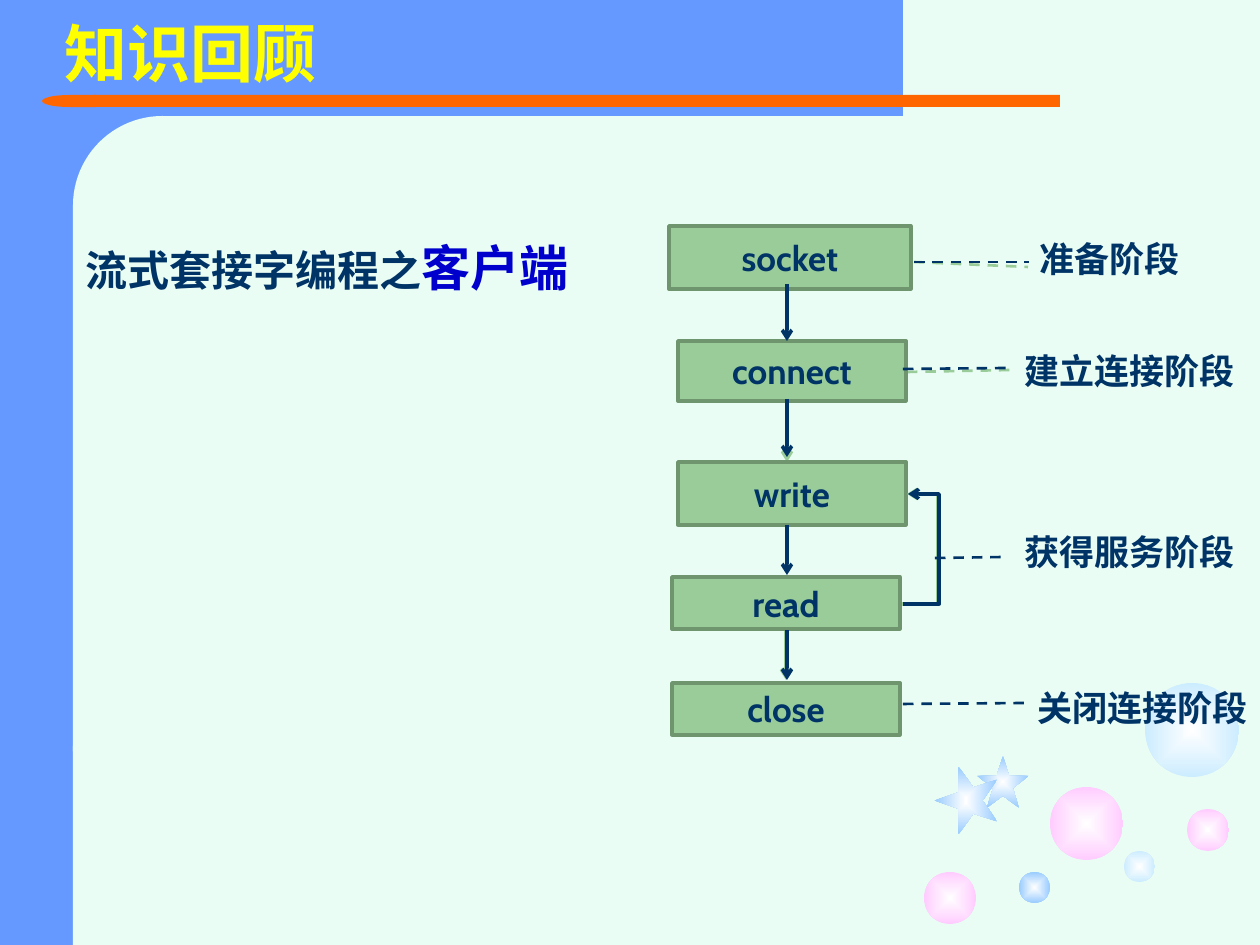
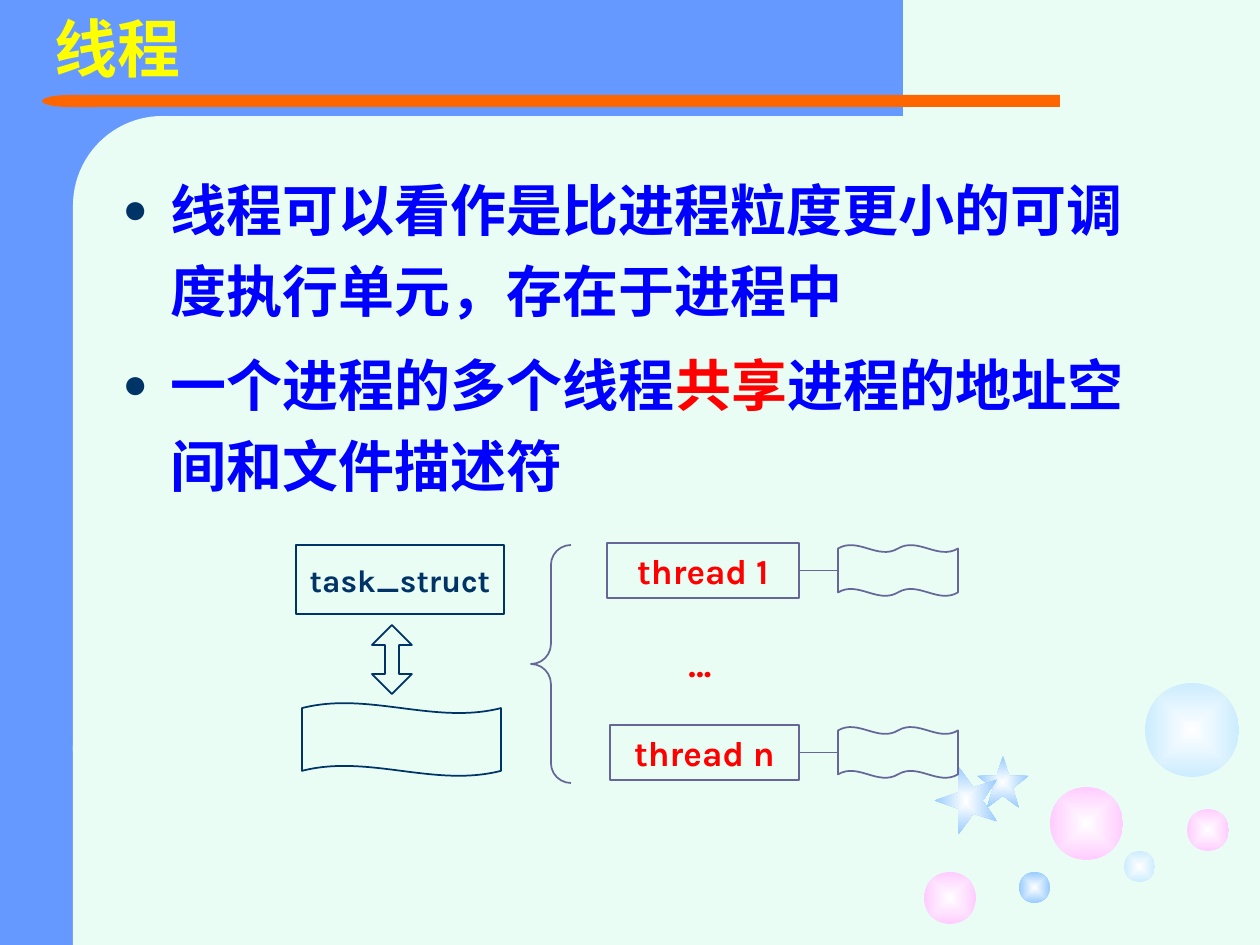
import pptx
import pptx.dml.color
import pptx.enum.dml
import pptx.enum.shapes
import pptx.enum.text
import pptx.oxml
import pptx.oxml.ns
import pptx.util
from lxml import etree

SCALE = 914400 / 126
HUES = {
    "mint": "E9FDF4", "blue": "6699FF", "orange": "FF6600", "white": "FFFFFF",
    "pink": "FFCCFF", "pale": "CCECFF", "sky": "99CCFF", "yellow": "FFFF00",
    "navy": "003366", "royal": "0000CC", "pure": "0000FF", "red": "FF0000",
    "leaf": "99CC99", "moss": "6F956F", "slate": "666699",
}
KIND = pptx.enum.shapes.MSO_SHAPE
LINK = pptx.enum.shapes.MSO_CONNECTOR
ALIGN = pptx.enum.text.PP_ALIGN
MID = pptx.enum.text.MSO_ANCHOR.MIDDLE
HAN = "Noto Sans CJK SC"


def px(num):
    """Turn px into EMU."""
    return pptx.util.Emu(round(num * SCALE))


def rgb(name):
    """Look up a colour."""
    return pptx.dml.color.RGBColor.from_string(HUES[name])


def sub(node, tag, **attrs):
    """Append a drawing element."""
    return etree.SubElement(node, pptx.oxml.ns.qn("a:" + tag), **attrs)


def mark(para, sign, indent=48):
    """Set the hanging indent and the bullet, if any."""
    props = para._p.get_or_add_pPr()
    props.set("marL", str(px(indent)))
    props.set("indent", str(-px(indent)))
    if sign:
        sub(sub(props, "buClr"), "srgbClr", val=HUES["navy"])
        sub(props, "buSzPct", val="75000")
        sub(props, "buChar", char=sign)
    else:
        sub(props, "buNone")


def write(shape, text, size=20, hue="navy", font="Arial", align=ALIGN.LEFT,
          anchor=MID, wrap=True, line=None, gap=0, sign=None):
    """Fill a shape with paragraphs of (text, hue, size) runs or a plain string."""
    frame = shape.text_frame
    frame.auto_size = pptx.enum.text.MSO_AUTO_SIZE.NONE
    frame.word_wrap = wrap
    frame.vertical_anchor = anchor
    paras = [[(text, hue, size)]] if isinstance(text, str) else text
    for i, runs in enumerate(paras):
        para = frame.add_paragraph() if i else frame.paragraphs[0]
        if sign is not None:
            mark(para, sign)
        para.alignment = align
        para.space_before = pptx.util.Pt(gap if i else 0)
        if line:
            para.line_spacing = line
        for words, tint, points in runs:
            run = para.add_run()
            run.text = words
            run.font.size = pptx.util.Pt(points)
            run.font.bold = True
            run.font.name = font
            run.font.color.rgb = rgb(tint)
            sub(run._r.get_or_add_rPr(), "ea", typeface=HAN)


def place(shape, x, y, w, h):
    """Move and size a shape."""
    shape.left, shape.top, shape.width, shape.height = map(px, (x, y, w, h))


def draw(slide, kind, x, y, w, h, fill=None, edge=None, width=1, bends=()):
    """Add a preset shape."""
    shape = slide.shapes.add_shape(kind, *map(px, (x, y, w, h)))
    shape.shadow.inherit = False
    for i, bend in enumerate(bends):
        shape.adjustments[i] = bend
    if fill:
        shape.fill.solid()
        shape.fill.fore_color.rgb = rgb(fill)
    else:
        shape.fill.background()
    if edge:
        shape.line.color.rgb = rgb(edge)
        shape.line.width = pptx.util.Pt(width)
    else:
        shape.line.fill.background()
    return shape


def glow(slide, kind, x, y, w, h, hue):
    """Add a shape that fades from a white centre."""
    shape = draw(slide, kind, x, y, w, h)
    shape.fill.gradient()
    for stop, tint, spot in zip(shape.fill.gradient_stops, ("white", hue), (0, 1)):
        stop.color.rgb = rgb(tint)
        stop.position = spot
    grad = shape.element.spPr.find(pptx.oxml.ns.qn("a:gradFill"))
    grad.remove(grad.find(pptx.oxml.ns.qn("a:lin")))
    sides = dict.fromkeys("ltrb", "50000")
    sub(sub(grad, "path", path="rect"), "fillToRect", **sides)
    return shape


def link(slide, x1, y1, x2, y2, hue="navy", width=2, dash=False, head=False,
         bend=None):
    """Add a straight or bent connector."""
    kind = LINK.STRAIGHT if bend is None else LINK.ELBOW
    wire = slide.shapes.add_connector(kind, *map(px, (x1, y1, x2, y2)))
    wire.line.color.rgb = rgb(hue)
    wire.line.width = pptx.util.Pt(width)
    if dash:
        wire.line.dash_style = pptx.enum.dml.MSO_LINE.DASH
    if head:
        sub(wire.line._get_or_add_ln(), "tailEnd", type="arrow")
    props = wire._element.spPr
    if bend is not None:
        geom = props.find(pptx.oxml.ns.qn("a:prstGeom"))
        for old in list(geom):
            geom.remove(old)
        ratio = round((bend - x1) / (x2 - x1) * 100000)
        sub(sub(geom, "avLst"), "gd", name="adj1", fmla=f"val {ratio}")
    sub(props, "effectLst")
    return wire


def label(slide, text, x, y, w, h, **style):
    """Add a text box."""
    box = slide.shapes.add_textbox(*map(px, (x, y, w, h)))
    write(box, text, wrap=False, **style)


def frame(deck, slide):
    """Put the bands, bubbles and stars on the master."""
    master = deck.slide_master
    master.background.fill.solid()
    master.background.fill.fore_color.rgb = rgb("mint")
    parts = [
        draw(slide, KIND.RECTANGLE, 0, 0, 158, 945, "blue"),
        draw(slide, KIND.RECTANGLE, 63, 0, 840, 116, "blue"),
        draw(slide, KIND.ROUNDED_RECTANGLE, 73, 116, 179, 724, "mint", bends=[0.5]),
        draw(slide, KIND.RECTANGLE, 94, 95, 966, 12, "orange"),
        draw(slide, KIND.FLOWCHART_DELAY, 42, 95, 54, 12, "orange"),
        draw(slide, KIND.RECTANGLE, 73, 746, 179, 199, "mint"),
    ]
    parts[4].rotation = 180
    for x, y, size, hue in [
        (1050, 787, 73, "pink"), (924, 872, 52, "pink"), (1124, 851, 31, "pale"),
        (1187, 809, 42, "pink"), (1145, 683, 94, "pale"), (1019, 872, 31, "sky"),
    ]:
        parts.append(glow(slide, KIND.OVAL, x, y, size, size, hue))
    parts.append(glow(slide, KIND.STAR_5_POINT, 977, 756, 52, 52, "sky"))
    star = glow(slide, KIND.STAR_5_POINT, 932, 769, 68, 63, "sky")
    star.rotation = 270
    for part in parts + [star]:
        master.shapes.element.append(part.element)


def start(deck, title, spot):
    """Add a slide with its title."""
    slide = deck.slides.add_slide(deck.slide_layouts[1])
    place(slide.shapes.title, *spot)
    write(slide.shapes.title, title, size=36, hue="yellow", line=0.9)
    return slide


def body(slide, spot, text, **style):
    """Fill the body placeholder."""
    holder = slide.placeholders[1]
    place(holder, *spot)
    write(holder, text, anchor=pptx.enum.text.MSO_ANCHOR.TOP, **style)


def client(slide):
    """Draw the call flow of the socket client."""
    body(slide, (73, 231, 560, 645),
         [[("流式套接字编程之", "navy", 24), ("客户端", "royal", 28)]],
         font=HAN, sign="")
    for x1, y1, x2, y2 in [(787, 404, 787, 462), (786, 631, 786, 680)]:
        link(slide, x1, y1, x2, y2, "leaf", head=True)
    for x1, y1, x2, y2 in [(914, 262, 1028, 267), (907, 372, 1012, 370)]:
        link(slide, x1, y1, x2, y2, "leaf", 1.5, dash=True)
    for name, x, y, w, h in [
        ("socket", 669, 226, 242, 63), ("connect", 678, 341, 228, 60),
        ("write", 678, 462, 228, 63), ("read", 672, 577, 228, 52),
        ("close", 672, 683, 228, 52),
    ]:
        step = draw(slide, KIND.RECTANGLE, x, y, w, h, "leaf", "moss", 2)
        write(step, name, font="Cabin", align=ALIGN.CENTER)
    for top, end in [(284, 341), (399, 457), (525, 575), (630, 680)]:
        link(slide, 787, top, 787, end, head=True)
    for x, hue in [(902, "leaf"), (903, "navy")]:
        link(slide, x, 604, x + 5, 494, hue, head=True, bend=x + 36)
    for x1, y1, x2, y2 in [
        (914, 262, 1029, 262), (903, 369, 1007, 368),
        (935, 558, 1005, 557), (903, 704, 1027, 703),
    ]:
        link(slide, x1, y1, x2, y2, width=1.5, dash=True)
    for text, x, y in [
        ("准备阶段", 1027, 231), ("建立连接阶段", 1012, 343),
        ("获得服务阶段", 1012, 524), ("关闭连接阶段", 1025, 680),
    ]:
        label(slide, text, x, y, 25 + 35 * len(text), 55)


def thread(slide):
    """Explain threads and draw how they share a process."""
    body(slide, (110, 156, 1072, 380), [
        [("线程可以看作是比进程粒度更小的可调度执行单元，存在于进程中", "pure", 32)],
        [("一个进程的多个线程", "pure", 32), ("共享", "red", 32),
         ("进程的地址空间和文件描述符", "pure", 32)],
    ], line=pptx.util.Pt(46), gap=8, sign="●")
    task = draw(slide, KIND.RECTANGLE, 296, 545, 208, 69, edge="navy")
    write(task, "task_struct", size=18, font="Karla", align=ALIGN.CENTER, wrap=False)
    draw(slide, KIND.UP_DOWN_ARROW, 372, 625, 40, 69, edge="navy", bends=[0.5, 0.35])
    draw(slide, KIND.WAVE, 302, 703, 199, 73, edge="navy", bends=[0.07])
    draw(slide, KIND.LEFT_BRACE, 531, 545, 40, 238, edge="slate", bends=[0.5, 0.5])
    red = dict(hue="red", font="Karla", align=ALIGN.CENTER)
    for name, x, y in [("thread 1", 607, 543), ("thread n", 610, 725)]:
        box = draw(slide, KIND.RECTANGLE, x, y, 799 - x, 55, edge="slate")
        write(box, name, **red)
        wave = draw(slide, KIND.DOUBLE_WAVE, 838, y + 2, 120, 51, edge="slate",
                    bends=[0.07])
        wire = link(slide, 799, y + 28, 838, y + 28, "slate", 1)
        wire.begin_connect(box, 3)
        wire.end_connect(wave, 1)
    label(slide, "…", 650, 644, 100, 40, **red)


def main():
    """Build the deck."""
    deck = pptx.Presentation()
    deck.slide_width, deck.slide_height = px(1260), px(945)
    first = start(deck, "知识回顾", (52, 26, 1134, 63))
    frame(deck, first)
    client(first)
    thread(start(deck, "线程", (42, 0, 1061, 105)))
    deck.save("out.pptx")


if __name__ == "__main__":
    main()
